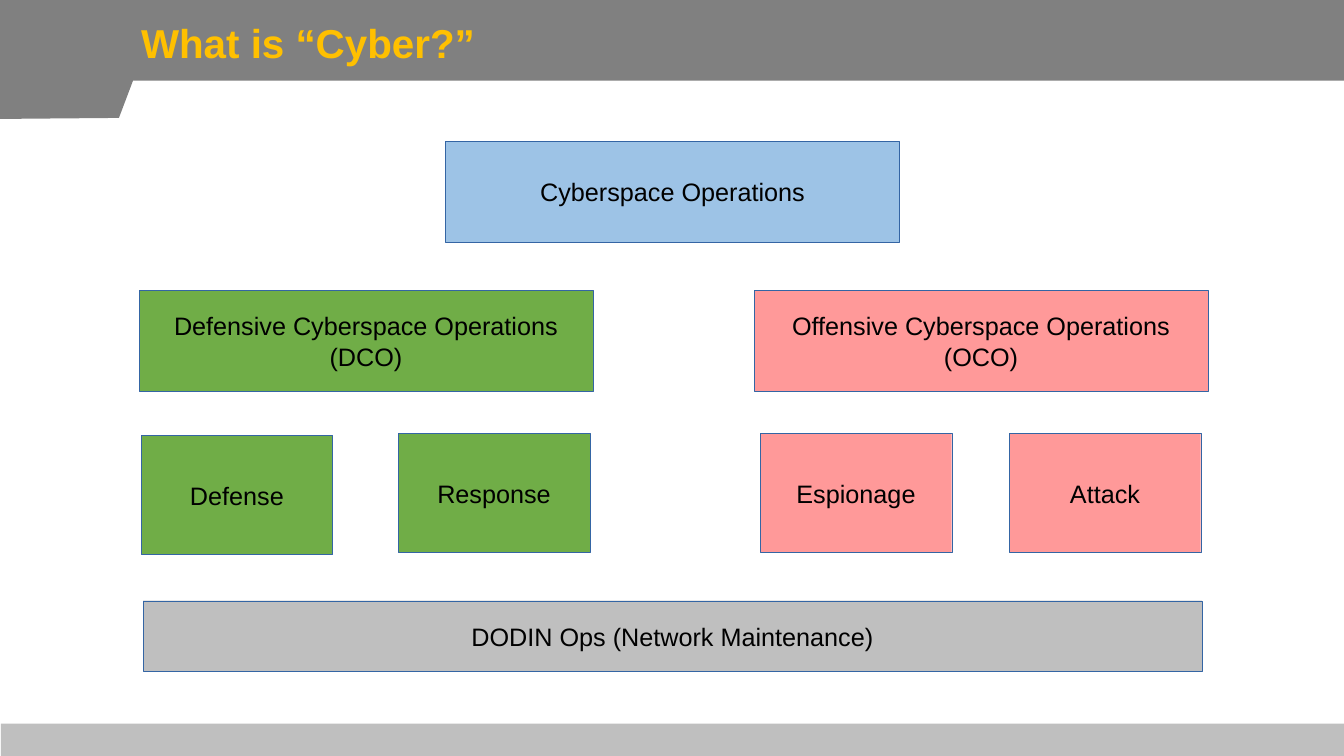
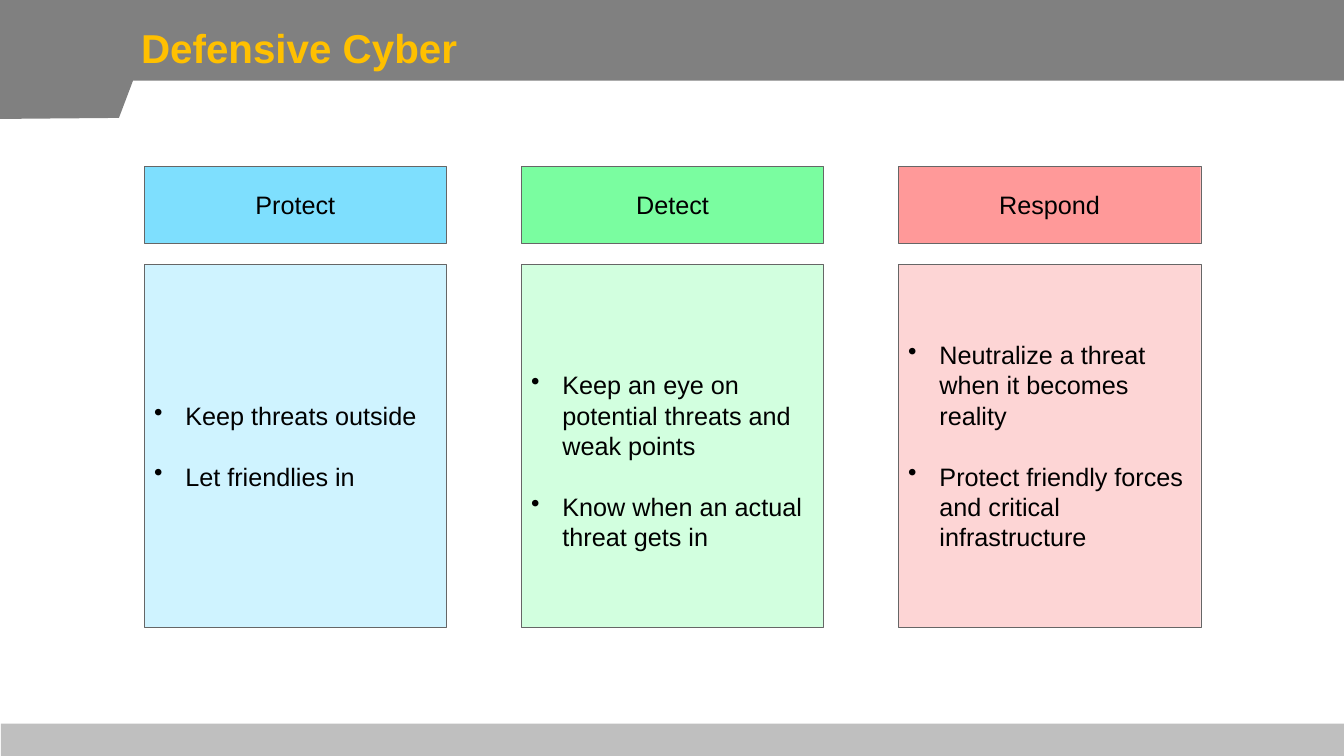
"""Build two slides on cyberspace operations."""
import pptx
import pptx.util
import pptx.dml.color
import pptx.enum.shapes
import pptx.enum.text
import pptx.oxml.ns
import lxml.etree

Inches, Pt = pptx.util.Inches, pptx.util.Pt
ALIGN, ANCHOR = pptx.enum.text.PP_ALIGN, pptx.enum.text.MSO_ANCHOR
RECT = pptx.enum.shapes.MSO_SHAPE.RECTANGLE

FONT, BLACK, GOLD, GREY, SILVER = "Arial", "000000", "FFC000", "808080", "BFBFBF"
BLUE, GREEN, PINK = "9DC3E6", "70AD47", "FF9999"
EDGE, RIM = "3465A4", "666666"
LINE = Pt(21.7)
BAND = [(0, 0), (13.33, 0), (13.33, 0.8), (1.32, 0.8), (1.18, 1.17), (0, 1.18)]

WIDE, SMALL, BASE = (4.5, 1), (1.9, 1.18), (10.5, 0.7)
TREE = [
    (["Cyberspace Operations"], 4.42, 1.4, WIDE, BLUE),
    (["Defensive Cyberspace Operations", "(DCO)"], 1.38, 2.88, WIDE, GREEN),
    (["Offensive Cyberspace Operations", "(OCO)"], 7.48, 2.88, WIDE, PINK),
    (["Defense"], 1.4, 4.32, SMALL, GREEN),
    (["Response"], 3.95, 4.3, SMALL, GREEN),
    (["Espionage"], 7.54, 4.3, SMALL, PINK),
    (["Attack"], 10.01, 4.3, SMALL, PINK),
    (["DODIN Ops (Network Maintenance)"], 1.42, 5.96, BASE, SILVER),
]
COLS = [
    ("Protect", "7EDFFE", "CFF3FF", 0.1,
     ["Keep threats outside", "Let friendlies in"]),
    ("Detect", "7AFDA0", "D2FFDF", 0.4,
     ["Keep an eye on potential threats and weak points",
      "Know when an actual threat gets in"]),
    ("Respond", PINK, "FDD5D5", 0.1,
     ["Neutralize a threat when it becomes reality",
      "Protect friendly forces and critical infrastructure"]),
]
LEFT, STEP, WIDTH = 1.43, 3.74, 3


def color(code):
    """Turn a hex string into a colour."""
    return pptx.dml.color.RGBColor.from_string(code)


def paint(shape, fill, line=None):
    """Set fill and outline, without a shadow."""
    shape.shadow.inherit = False
    shape.fill.solid()
    shape.fill.fore_color.rgb = color(fill)
    if line:
        shape.line.color.rgb = color(line)
        shape.line.width = Pt(0.25)
    else:
        shape.line.fill.background()


def bullet(para):
    """Give a paragraph a hanging bullet."""
    props = para._p.get_or_add_pPr()
    props.set("marL", str(Inches(0.31)))
    props.set("indent", str(-Inches(0.31)))
    mark = lxml.etree.SubElement(props, pptx.oxml.ns.qn("a:buChar"))
    mark.set("char", "•")


def write(shape, lines, size=18, ink=BLACK, bold=False, align=ALIGN.CENTER,
          inset=0.1, top=None, space=LINE, gap=0, dots=False):
    """Fill a shape with formatted paragraphs."""
    frame = shape.text_frame
    frame.word_wrap = True
    frame.vertical_anchor = ANCHOR.MIDDLE
    frame.margin_left = frame.margin_right = frame.margin_bottom = Inches(inset)
    frame.margin_top = Inches(inset if top is None else top)
    for i, text in enumerate(lines):
        para = frame.paragraphs[0] if i == 0 else frame.add_paragraph()
        para.alignment = align
        para.line_spacing = space
        if i:
            para.space_before = gap
        if dots:
            bullet(para)
        run = para.add_run()
        run.text = text
        run.font.name = FONT
        run.font.size = Pt(size)
        run.font.bold = bold
        run.font.color.rgb = color(ink)


def box(slide, x, y, w, h, fill, line=None):
    """Add a plain rectangle."""
    shape = slide.shapes.add_shape(RECT, *map(Inches, (x, y, w, h)))
    paint(shape, fill, line)
    return shape


def start(deck, title, space):
    """Add a slide with its bands and title."""
    slide = deck.slides.add_slide(deck.slide_layouts[6])
    box(slide, 0.01, 7.18, 13.32, 0.32, SILVER)
    dots = [(Inches(x), Inches(y)) for x, y in BAND]
    form = slide.shapes.build_freeform(*dots[0])
    form.add_line_segments(dots[1:], close=True)
    paint(form.convert_to_shape(), GREY)
    head = slide.shapes.add_textbox(*map(Inches, (1.35, 0.17, 11.5, 0.57)))
    write(head, [title], size=28.8, ink=GOLD, bold=True, align=ALIGN.LEFT,
          inset=0.05, space=space)
    return slide


def main():
    """Build and save the deck."""
    deck = pptx.Presentation()
    deck.slide_width, deck.slide_height = Inches(13.33), Inches(7.5)

    slide = start(deck, "What is “Cyber?”", 0.9)
    for lines, x, y, size, fill in TREE:
        write(box(slide, x, y, *size, fill, EDGE), lines)

    slide = start(deck, "Defensive Cyber", 1.05)
    for i, (name, dark, light, top, points) in enumerate(COLS):
        x = LEFT + i * STEP
        write(box(slide, x, 1.65, WIDTH, 0.76, dark, RIM), [name])
        write(box(slide, x, 2.62, WIDTH, 3.6, light, RIM), points,
              align=ALIGN.LEFT, top=top, gap=LINE, dots=True)

    deck.save("out.pptx")


if __name__ == "__main__":
    main()
